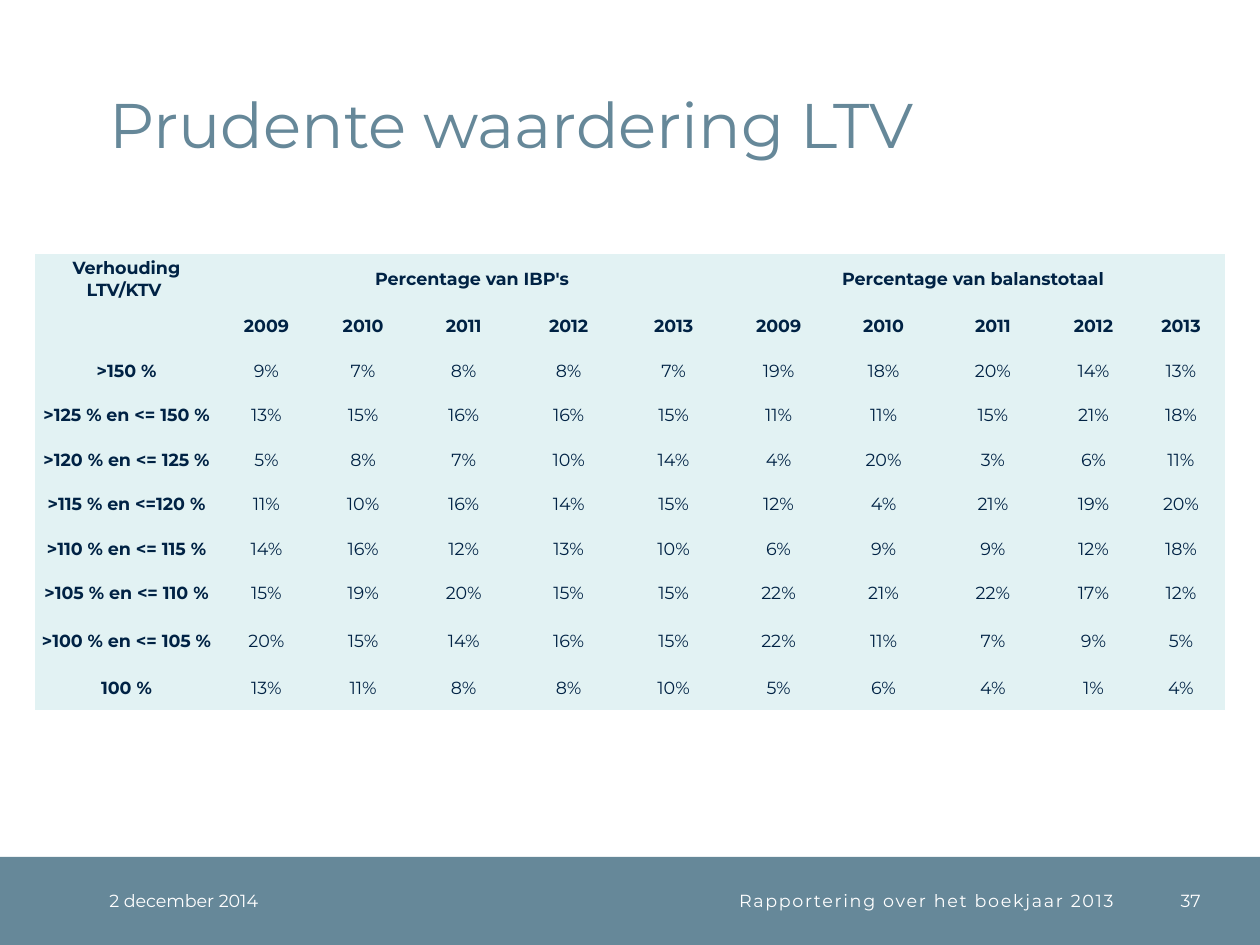
from pptx import Presentation
from pptx.dml.color import RGBColor
from pptx.enum.shapes import MSO_SHAPE as Shape
from pptx.enum.text import MSO_ANCHOR as Anchor, PP_ALIGN as Align
from pptx.oxml.ns import qn
from pptx.util import Pt

NO_STYLE = "{2D5ABB26-0587-4C30-8999-92F81FD0307C}"
YEARS = ["2009", "2010", "2011", "2012", "2013"]
COLUMN_WIDTHS = [104.5, 55.5, 55, *[60] * 5, 65, 50, 50]
ROW_HEIGHTS = [28.8, *[25.4] * 7, 28.8, 25.4]
SHARES = {
    ">150 %": [9, 7, 8, 8, 7, 19, 18, 20, 14, 13],
    ">125 % en <= 150 %": [13, 15, 16, 16, 15, 11, 11, 15, 21, 18],
    ">120 % en <= 125 %": [5, 8, 7, 10, 14, 4, 20, 3, 6, 11],
    ">115 % en <=120 %": [11, 10, 16, 14, 15, 12, 4, 21, 19, 20],
    ">110 % en <= 115 %": [14, 16, 12, 13, 10, 6, 9, 9, 12, 18],
    ">105 % en <= 110 %": [15, 19, 20, 15, 15, 22, 21, 22, 17, 12],
    ">100 % en <= 105 %": [20, 15, 14, 16, 15, 22, 11, 7, 9, 5],
    "100 %": [13, 11, 8, 8, 10, 5, 6, 4, 1, 4],
}


def color(value):
    return RGBColor.from_string(value)


class SlideBuilder:
    font = "Montserrat"
    slate = "668899"
    navy = "002244"
    white = "FFFFFF"
    mint = "E2F2F3"

    def __init__(self, page):
        self.page = page

    def style(self, frame, size, ink, align=Align.LEFT, bold=False):
        for para in frame.paragraphs:
            para.alignment = align
            for span in para.runs:
                span.font.name = self.font
                span.font.size = Pt(size)
                span.font.bold = bold
                span.font.color.rgb = color(ink)

    def bar(self, left, top, width, height):
        bar = self.page.shapes.add_shape(
            Shape.RECTANGLE, Pt(left), Pt(top), Pt(width), Pt(height))
        bar.shadow.inherit = False
        bar.fill.solid()
        bar.fill.fore_color.rgb = color(self.slate)
        bar.line.fill.background()

    def text(self, words, left, top, width, height, size=10, ink=white,
             align=Align.LEFT, anchor=Anchor.MIDDLE):
        box = self.page.shapes.add_textbox(Pt(left), Pt(top), Pt(width), Pt(height))
        frame = box.text_frame
        frame.word_wrap = True
        frame.margin_left = frame.margin_right = 0
        frame.margin_top = frame.margin_bottom = 0
        frame.vertical_anchor = anchor
        frame.text = words
        self.style(frame, size, ink, align)
        return frame.paragraphs[0]

    def cell(self, cell, words, bold):
        cell.margin_left = cell.margin_right = 0
        cell.margin_top = cell.margin_bottom = 0
        cell.vertical_anchor = Anchor.MIDDLE
        cell.fill.solid()
        cell.fill.fore_color.rgb = color(self.mint)
        cell.text_frame.text = words
        self.style(cell.text_frame, 10, self.navy, Align.CENTER, bold)

    def table(self, rows, left, top, widths, heights, header_rows, merges):
        table = self.page.shapes.add_table(
            len(heights), len(widths), Pt(left), Pt(top),
            Pt(sum(widths)), Pt(sum(heights))).table
        table.first_row = table.horz_banding = False
        table._tbl.tblPr.find(qn("a:tableStyleId")).text = NO_STYLE
        for column, width in zip(table.columns, widths):
            column.width = Pt(width)
        for row, height in zip(table.rows, heights):
            row.height = Pt(height)
        for r, values in enumerate(rows):
            for c, words in enumerate(values):
                self.cell(table.cell(r, c), words, r < header_rows or c == 0)
        for r, first, last in merges:
            table.cell(r, first).merge(table.cell(r, last))


def main():
    deck = Presentation()
    deck.slide_width, deck.slide_height = Pt(720), Pt(540)
    slide = SlideBuilder(deck.slides.add_slide(deck.slide_layouts[6]))

    footer_top, footer_height = 489.6, 50.4
    slide.bar(0, footer_top, 720, footer_height)
    slide.text("2 december 2014", 62.5, footer_top, 127.5, footer_height)
    title = slide.text("Prudente waardering LTV", 62.5, 14.4, 621.5, 77.8,
                       size=36, ink=slide.slate, anchor=Anchor.BOTTOM)
    title.line_spacing = Pt(32)

    blanks = [""] * 4
    rows = [
        ["Verhouding LTV/KTV ", "Percentage van IBP's", *blanks,
         "Percentage van balanstotaal ", *blanks],
        ["", *YEARS, *YEARS],
    ]
    rows += [[label, *(f"{share}%" for share in shares)]
             for label, shares in SHARES.items()]
    slide.table(rows, 20, 145.2, COLUMN_WIDTHS, ROW_HEIGHTS, header_rows=2,
                merges=[(0, 1, 5), (0, 6, 10)])

    slide.text("37", 651, footer_top, 35, footer_height, align=Align.RIGHT)
    report = slide.text("Rapportering over het boekjaar 2013", 190, footer_top,
                        446.5, footer_height, align=Align.RIGHT)
    report.runs[0].font._element.set("spc", "100")

    deck.save("out.pptx")


if __name__ == "__main__":
    main()
